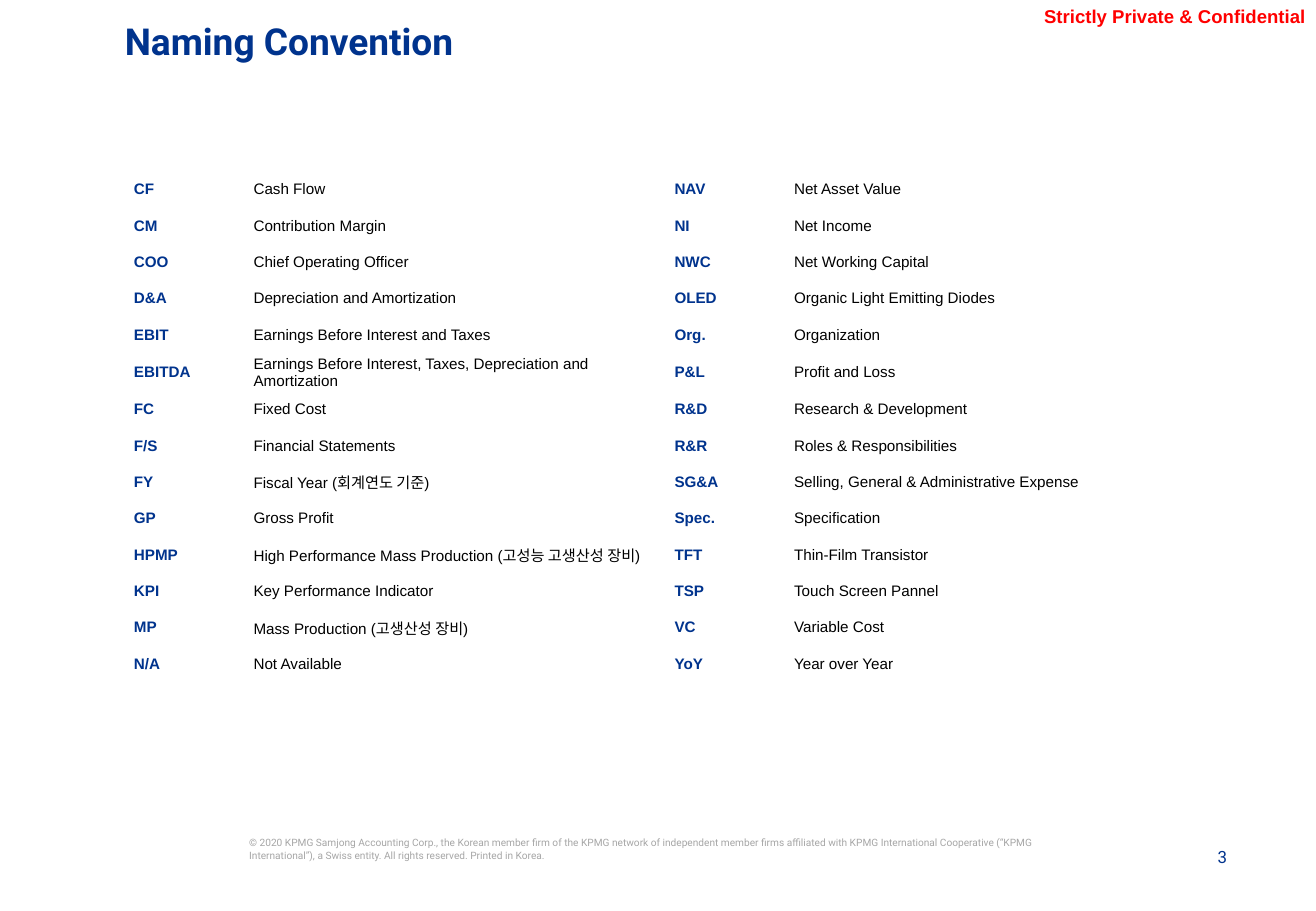
from pptx import Presentation
from pptx.dml.color import RGBColor
from pptx.enum import text
from pptx.oxml.ns import qn
from pptx.util import Cm, Pt

NAVY = RGBColor(0x00, 0x33, 0x8D)
BLACK = RGBColor(0, 0, 0)
RED = RGBColor(0xFF, 0, 0)
GREY = RGBColor(0xA6, 0xA6, 0xA6)
NO_STYLE_NO_GRID = "{2D5ABB26-0587-4C30-8999-92F81FD0307C}"

ROWS = [
    ("CF", "Cash Flow", "NAV", "Net Asset Value"),
    ("CM", "Contribution Margin", "NI", "Net Income"),
    ("COO", "Chief Operating Officer", "NWC", "Net Working Capital"),
    ("D&A", "Depreciation and Amortization", "OLED", "Organic Light Emitting Diodes"),
    ("EBIT", "Earnings Before Interest and Taxes", "Org.", "Organization"),
    ("EBITDA", "Earnings Before Interest, Taxes, Depreciation and Amortization",
     "P&L", "Profit and Loss"),
    ("FC", "Fixed Cost", "R&D", "Research & Development"),
    ("F/S", "Financial Statements", "R&R", "Roles & Responsibilities"),
    ("FY", "Fiscal Year (회계연도 기준)", "SG&A", "Selling, General & Administrative Expense"),
    ("GP", "Gross Profit", "Spec.", "Specification"),
    ("HPMP", "High Performance Mass Production (고성능 고생산성 장비)",
     "TFT", "Thin-Film Transistor"),
    ("KPI", "Key Performance Indicator", "TSP", "Touch Screen Pannel"),
    ("MP", "Mass Production (고생산성 장비)", "VC", "Variable Cost"),
    ("N/A", "Not Available", "YoY", "Year over Year"),
]
ROW_HEIGHTS = [0.76] * 5 + [0.8] + [0.76] * 8 + [0.99] + [0.81] * 4
COL_WIDTHS = [2.5, 8.8] * 2
COPYRIGHT = (
    "© 2020 KPMG Samjong Accounting Corp., the Korean member firm of the KPMG network of "
    "independent member firms affiliated with KPMG International Cooperative (“KPMG "
    "International”), a Swiss entity. All rights reserved. Printed in Korea."
)


def write(tf, words, size=9, color=BLACK, font="Arial", bold=False, align=None, spacing=None):
    """Write one formatted paragraph into a text frame."""
    p = tf.paragraphs[0]
    p.alignment = align
    p.line_spacing = spacing
    r = p.add_run()
    r.text = words
    r.font.size = Pt(size)
    r.font.name = font
    r.font.bold = bold
    r.font.color.rgb = color


def add_text(s, words, box, insets=(0, 0, 0, 0), anchor=text.MSO_ANCHOR.TOP, **fmt):
    """Add a wrapping text box, with box and insets in centimetres."""
    tf = s.shapes.add_textbox(*map(Cm, box)).text_frame
    tf.word_wrap = True
    tf.vertical_anchor = anchor
    tf.margin_left, tf.margin_top, tf.margin_right, tf.margin_bottom = map(Cm, insets)
    write(tf, words, **fmt)


def add_glossary(s, left, top):
    """Add the table of abbreviations and their meanings, without fills or grid."""
    table = s.shapes.add_table(len(ROW_HEIGHTS), len(COL_WIDTHS), Cm(left), Cm(top),
                               Cm(sum(COL_WIDTHS)), Cm(sum(ROW_HEIGHTS))).table
    table.first_row = table.horz_banding = False
    table._tbl.tblPr.find(qn("a:tableStyleId")).text = NO_STYLE_NO_GRID
    for col, width in zip(table.columns, COL_WIDTHS):
        col.width = Cm(width)
    for row, height in zip(table.rows, ROW_HEIGHTS):
        row.height = Cm(height)
    for cell in table.iter_cells():
        cell.fill.background()
        cell.vertical_anchor = text.MSO_ANCHOR.MIDDLE
        cell.margin_left = cell.margin_top = cell.margin_right = Cm(0.03)
        cell.margin_bottom = 0
    for i, entries in enumerate(ROWS):
        for j, words in enumerate(entries):
            is_term = j % 2 == 0
            write(table.cell(i, j).text_frame, words,
                  color=NAVY if is_term else BLACK, bold=is_term)


def main():
    """Build the naming convention slide."""
    prs = Presentation()
    prs.slide_width, prs.slide_height = Cm(27.51), Cm(19.05)
    s = prs.slides.add_slide(prs.slide_layouts[6])
    bottom, right = text.MSO_ANCHOR.BOTTOM, text.PP_ALIGN.RIGHT
    add_glossary(s, 2.77, 3.57)
    add_text(s, "3", (22.04, 17.72, 3.61, 0.41), anchor=bottom,
             size=10, font="Roboto", color=NAVY, align=right)
    add_text(s, COPYRIGHT, (5.21, 17.5, 17.5, 1.07), size=6, font="Roboto", color=GREY)
    add_text(s, "Strictly Private & Confidential", (20.52, -0.03, 6.88, 0.71),
             insets=(0, 0.1, 0.1, 0.1), anchor=bottom,
             size=11, color=RED, bold=True, align=right)
    add_text(s, "Naming Convention", (2.36, 0.51, 23.88, 0.76),
             insets=(0.25, 0.13, 0.25, 0.13),
             size=22, font="Roboto", color=NAVY, bold=True, spacing=0.7)
    prs.save("out.pptx")


if __name__ == "__main__":
    main()
